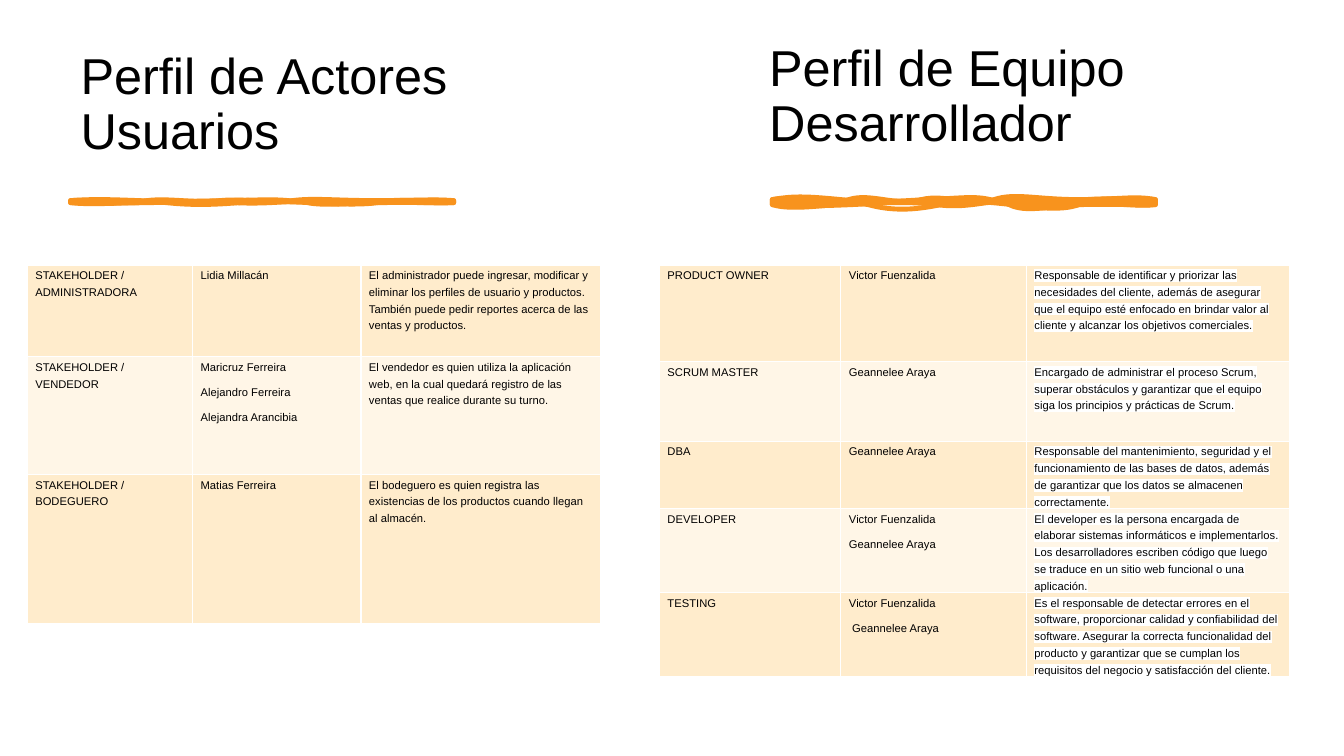
import lxml.etree
import pptx
import pptx.dml.color
import pptx.enum.text
import pptx.oxml.ns
import pptx.util

Inches = pptx.util.Inches
Pt = pptx.util.Pt
qn = pptx.oxml.ns.qn
ALIGN = pptx.enum.text.PP_ALIGN

# Edges of the brush stroke as chains of cubic curves, in inches
STROKE_WIDTH = 3.8
STROKE_HEIGHT = 0.05
OUTLINE_TOP = [
    (0, 0), (.24, -.04), (.54, .08), (.76, 0), (.97, -.07), (1.23, .07),
    (1.48, 0), (1.72, -.06), (1.99, .08), (2.2, 0), (2.41, -.07),
    (2.62, 0), (3.04, 0), (3.45, 0), (3.59, -.04), (3.8, 0)]
OUTLINE_BOTTOM = [
    (3.8, .05), (3.53, .08), (3.22, -.01), (3.04, .05), (2.86, .12),
    (2.56, .07), (2.39, .05), (2.23, .04), (1.98, -.01), (1.67, .05),
    (1.35, .12), (1.14, .1), (.95, .05), (.76, 0), (.25, .13), (0, .05)]
BODY_TOP = [
    (0, 0), (.22, -.04), (.36, -.03), (.68, 0), (1, .03), (1.2, .02),
    (1.52, 0), (1.84, -.01), (2, -.04), (2.16, 0), (2.32, .04),
    (2.62, -.02), (2.81, 0), (3, .02), (3.32, -.03), (3.8, 0)]
BODY_BOTTOM = [
    (3.8, .05), (3.63, .06), (3.43, .04), (3.07, .05), (2.72, .07),
    (2.51, .13), (2.35, .05), (2.2, -.03), (1.99, .1), (1.63, .05),
    (1.27, .01), (1.03, .04), (.79, .05), (.56, .06), (.29, .07), (0, .05)]

USERS = [
    ("STAKEHOLDER / ADMINISTRADORA", ["Lidia Millacán"],
     "El administrador puede ingresar, modificar y eliminar los perfiles de "
     "usuario y productos. También puede pedir reportes acerca de las ventas "
     "y productos."),
    ("STAKEHOLDER / VENDEDOR",
     ["Maricruz Ferreira", "Alejandro Ferreira", "Alejandra Arancibia"],
     "El vendedor es quien utiliza la aplicación web, en la cual quedará "
     "registro de las ventas que realice durante su turno."),
    ("STAKEHOLDER / BODEGUERO", ["Matias Ferreira"],
     "El bodeguero es quien registra las existencias de los productos cuando "
     "llegan al almacén."),
]
TEAM = [
    ("PRODUCT OWNER", ["Victor Fuenzalida"],
     "Responsable de identificar y priorizar las necesidades del cliente, "
     "además de asegurar que el equipo esté enfocado en brindar valor al "
     "cliente y alcanzar los objetivos comerciales."),
    ("SCRUM MASTER", ["Geannelee Araya"],
     "Encargado de administrar el proceso Scrum, superar obstáculos y "
     "garantizar que el equipo siga los principios y prácticas de Scrum."),
    ("DBA", ["Geannelee Araya"],
     "Responsable del mantenimiento, seguridad y el funcionamiento de las "
     "bases de datos, además de garantizar que los datos se almacenen "
     "correctamente."),
    ("DEVELOPER", ["Victor Fuenzalida", "Geannelee Araya"],
     "El developer es la persona encargada de elaborar sistemas informáticos "
     "e implementarlos. Los desarrolladores escriben código que luego se "
     "traduce en un sitio web funcional o una aplicación."),
    ("TESTING", ["Victor Fuenzalida", " Geannelee Araya"],
     "Es el responsable de detectar errores en el software, proporcionar "
     "calidad y confiabilidad del software. Asegurar la correcta "
     "funcionalidad del producto y garantizar que se cumplan los requisitos "
     "del negocio y satisfacción del cliente."),
]


def color(value):
    return pptx.dml.color.RGBColor.from_string(value)


def add_element(parent, tag, **attributes):
    return lxml.etree.SubElement(parent, qn(tag), **attributes)


def add_points(parent, tag, points, waviness):
    """Add one drawing command with its points."""
    command = add_element(parent, tag)
    for x, y in points:
        add_element(command, "a:pt", x=str(Inches(x)),
                    y=str(Inches(y * waviness)))


class ProfilePage:
    font = "Arial"
    ink = "000000"
    accent = "F8931D"
    paper = "FFFFFF"
    bands = ("FFECCC", "FFF6E7")

    def __init__(self, page):
        self.page = page

    def style(self, para, size):
        para.font.name = self.font
        para.font.size = Pt(size)
        para.font.color.rgb = color(self.ink)

    def title(self, text, left, top, width, height):
        box = self.page.shapes.add_textbox(
            Inches(left), Inches(top), Inches(width), Inches(height))
        frame = box.text_frame
        frame.word_wrap = True
        frame.vertical_anchor = pptx.enum.text.MSO_ANCHOR.BOTTOM
        para = frame.paragraphs[0]
        para.text = text
        para.line_spacing = 0.9
        self.style(para, 36)

    def brush_stroke(self, left, top, waviness):
        """Draw a curved outline and a filled body as one freeform."""
        width = Inches(STROKE_WIDTH)
        height = Inches(STROKE_HEIGHT * waviness)
        builder = self.page.shapes.build_freeform()
        builder.add_line_segments([(width, 0), (width, height), (0, height)])
        stroke = builder.convert_to_shape(Inches(left), Inches(top))
        contours = stroke._element.spPr.find(
            qn("a:custGeom")).find(qn("a:pathLst"))
        contours.clear()
        for upper, lower, fill in ((OUTLINE_TOP, OUTLINE_BOTTOM, "none"),
                                   (BODY_TOP, BODY_BOTTOM, "norm")):
            contour = add_element(contours, "a:path", w=str(width),
                                  h=str(height), fill=fill)
            for chain, start in ((upper, "a:moveTo"), (lower, "a:lnTo")):
                add_points(contour, start, chain[:1], waviness)
                for first in range(1, len(chain), 3):
                    add_points(contour, "a:cubicBezTo",
                               chain[first:first + 3], waviness)
            add_element(contour, "a:close")
        stroke.shadow.inherit = False
        stroke.fill.solid()
        stroke.fill.fore_color.rgb = color(self.accent)
        stroke.line.color.rgb = color(self.accent)
        stroke.line.width = Pt(3.5)

    def cell(self, cell, lines, band, align, after, highlight):
        cell.fill.solid()
        cell.fill.fore_color.rgb = color(band)
        cell.margin_left = cell.margin_right = Inches(0.08)
        cell.margin_top = cell.margin_bottom = 0
        for number, line in enumerate(lines):
            frame = cell.text_frame
            para = frame.add_paragraph() if number else frame.paragraphs[0]
            para.alignment = align
            para.line_spacing = Pt(12)
            para.space_after = Pt(after)
            self.style(para, 8)
            span = para.add_run()
            span.text = line
            if highlight:
                mark = add_element(span.font._element, "a:highlight")
                add_element(mark, "a:srgbClr", val=self.paper)
        properties = cell._tc.get_or_add_tcPr()
        for index, side in enumerate(("a:lnL", "a:lnR", "a:lnT", "a:lnB")):
            border = lxml.etree.Element(qn(side), w=str(Pt(1)))
            add_element(add_element(border, "a:solidFill"), "a:srgbClr",
                        val=self.paper)
            properties.insert(index, border)

    def table(self, people, left, top, widths, heights,
              role_align=ALIGN.LEFT, highlight=False):
        table = self.page.shapes.add_table(
            len(heights), len(widths), Inches(left), Inches(top),
            Inches(sum(widths)), Inches(sum(heights))).table
        for column, width in zip(table.columns, widths):
            column.width = Inches(width)
        for index, (role, names, duty) in enumerate(people):
            table.rows[index].height = Inches(heights[index])
            band = self.bands[index % 2]
            self.cell(table.cell(index, 0), [role], band, role_align, 6, False)
            self.cell(table.cell(index, 1), names, band, ALIGN.LEFT, 6, False)
            self.cell(table.cell(index, 2), [duty], band, ALIGN.LEFT, 5,
                      highlight)


def main():
    deck = pptx.Presentation()
    deck.slide_width = Inches(13.33)
    deck.slide_height = Inches(7.5)
    profiles = ProfilePage(deck.slides.add_slide(deck.slide_layouts[6]))

    profiles.title("Perfil de Actores Usuarios", 0.7, 0.38, 4.78, 1.26)
    profiles.brush_stroke(0.7, 1.99, 0.4)
    profiles.table(USERS, 0.27, 2.63, (1.64, 1.67, 2.38), (0.91, 1.17, 1.48))

    profiles.title("Perfil de Equipo Desarrollador", 7.53, 0.36, 4.78, 1.2)
    profiles.brush_stroke(7.66, 1.98, 1)
    profiles.table(TEAM, 6.54, 2.63, (1.8, 1.84, 2.61),
                   (0.96, 0.79, 0.66, 0.82, 0.82), ALIGN.JUSTIFY, True)

    deck.save("out.pptx")


if __name__ == "__main__":
    main()
